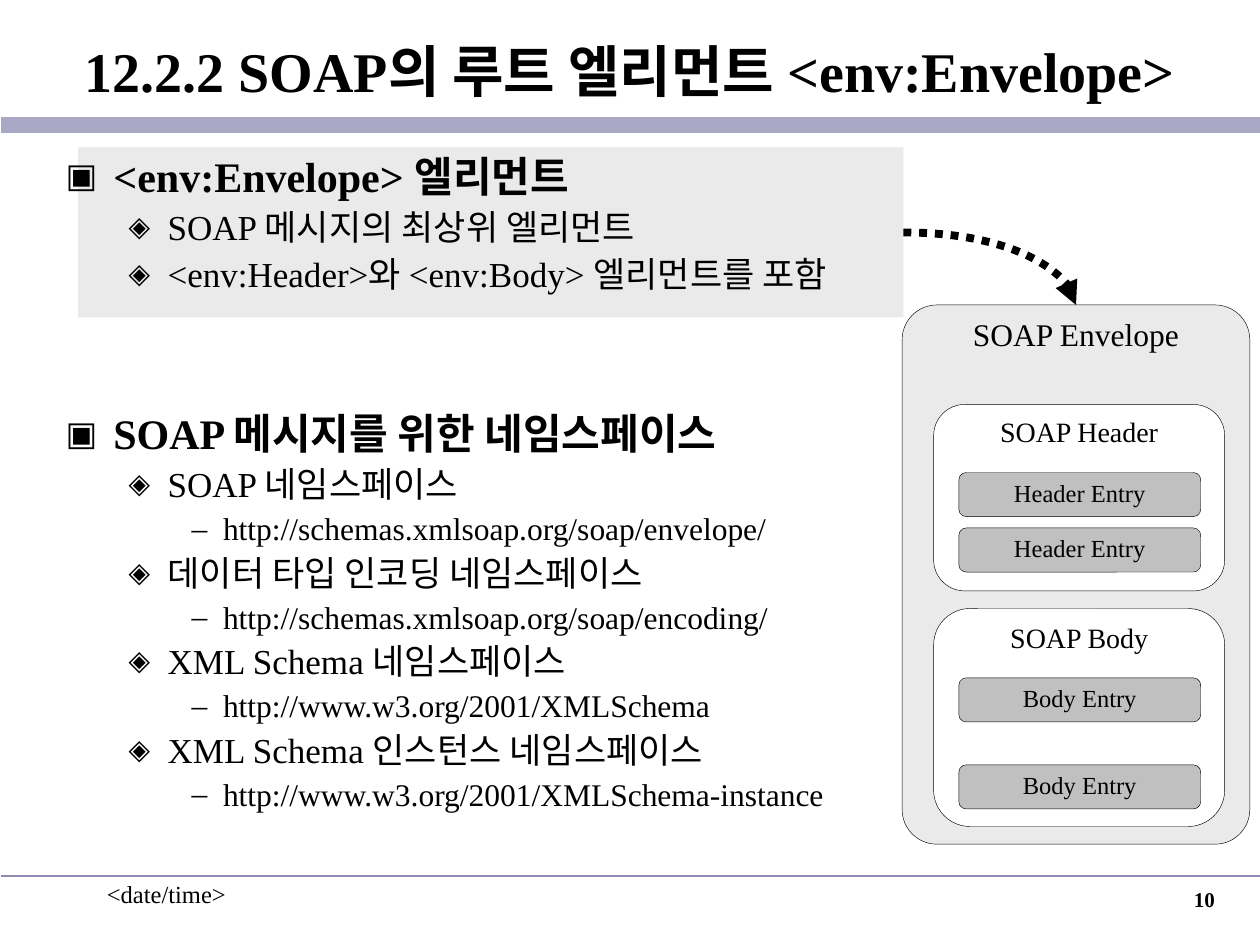
"""Build a slide on the SOAP envelope element and its namespaces."""
import lxml.etree
import pptx
import pptx.dml.color
import pptx.enum.dml
import pptx.enum.shapes
import pptx.enum.text
import pptx.oxml.ns
import pptx.util

Inches = pptx.util.Inches
Pt = pptx.util.Pt
RGBColor = pptx.dml.color.RGBColor
Align = pptx.enum.text.PP_ALIGN
Anchor = pptx.enum.text.MSO_ANCHOR
Kind = pptx.enum.shapes.MSO_SHAPE
Link = pptx.enum.shapes.MSO_CONNECTOR
qn = pptx.oxml.ns.qn

FONT = "Times New Roman"
BLACK = RGBColor(0, 0, 0)
WHITE = RGBColor(255, 255, 255)
PALE = RGBColor(0xEA, 0xEA, 0xEA)
GRAY = RGBColor(0xC0, 0xC0, 0xC0)
LILAC = RGBColor(0xA8, 0xA8, 0xC4)
SLATE = RGBColor(0x8C, 0x8C, 0xB2)

# left margin, hanging indent, bullet, bullet percent, size, space before
LEVELS = [
    (0.38, 0.38, "▣", 80, 24, 6),
    (0.81, 0.31, "◈", 80, 20, 5),
    (1.25, 0.25, "–", 100, 18, 4.5),
]
ITEMS = [
    (0, "<env:Envelope> 엘리먼트"),
    (1, "SOAP 메시지의 최상위 엘리먼트"),
    (1, "<env:Header>와 <env:Body> 엘리먼트를 포함"),
    (0, "SOAP 메시지를 위한 네임스페이스"),
    (1, "SOAP 네임스페이스"),
    (2, "http://schemas.xmlsoap.org/soap/envelope/"),
    (1, "데이터 타입 인코딩 네임스페이스"),
    (2, "http://schemas.xmlsoap.org/soap/encoding/"),
    (1, "XML Schema 네임스페이스"),
    (2, "http://www.w3.org/2001/XMLSchema"),
    (1, "XML Schema 인스턴스 네임스페이스"),
    (2, "http://www.w3.org/2001/XMLSchema-instance"),
]
GAP = 68
PARTS = [
    ("SOAP Header", 3.21, 1.48, "Header Entry", (3.75, 4.19)),
    ("SOAP Body", 4.83, 1.73, "Body Entry", (5.38, 6.07)),
]


def place(shape, left, top, width, height):
    shape.left, shape.top = Inches(left), Inches(top)
    shape.width, shape.height = Inches(width), Inches(height)


def style(para, size, bold=False, align=Align.LEFT):
    para.alignment = align
    font = para.font
    font.name, font.size, font.bold = FONT, Pt(size), bold
    font.color.rgb = BLACK


def add_child(parent, tag, **attrs):
    return lxml.etree.SubElement(parent, qn(tag), attrs)


def add_bullet(para, left, hang, char, scale):
    props = para._p.get_or_add_pPr()
    props.set("marL", str(Inches(left)))
    props.set("indent", str(-Inches(hang)))
    color = add_child(props, "a:buClr")
    add_child(color, "a:srgbClr", val=str(BLACK))
    add_child(props, "a:buSzPct", val=str(scale * 1000))
    add_child(props, "a:buFont", typeface=FONT)
    add_child(props, "a:buChar", char=char)


def set_title(title):
    place(title, 0.01, 0.11, 9.99, 0.9)
    frame = title.text_frame
    frame.text = "12.2.2 SOAP의 루트 엘리먼트 <env:Envelope>"
    frame.auto_size = pptx.enum.text.MSO_AUTO_SIZE.NONE
    frame.vertical_anchor = Anchor.MIDDLE
    frame.margin_left = Inches(0.66)
    style(frame.paragraphs[0], 32, True)


def set_list(body):
    place(body, 0.42, 1.19, 9.16, 5.71)
    frame = body.text_frame
    frame.text = "\n".join(text for _, text in ITEMS)
    frame.auto_size = pptx.enum.text.MSO_AUTO_SIZE.NONE
    for index, (level, _) in enumerate(ITEMS):
        para = frame.paragraphs[index]
        left, hang, char, scale, size, before = LEVELS[level]
        para.level = level
        add_bullet(para, left, hang, char, scale)
        para.line_spacing = 0.9
        if index == 0:
            before = 0
        elif level == 0:
            before = GAP
        para.space_before = Pt(before)
        style(para, size, level == 0)


def add_label(slide, box, text, size, bold=False, align=Align.LEFT):
    label = slide.shapes.add_textbox(*map(Inches, box))
    label.text_frame.word_wrap = True
    label.text_frame.text = text
    style(label.text_frame.paragraphs[0], size, bold, align)


def add_rule(slide, y, color, width):
    rule = slide.shapes.add_connector(
        Link.STRAIGHT, Inches(0.01), Inches(y), Inches(10), Inches(y))
    rule.line.color.rgb, rule.line.width = color, Pt(width)
    add_child(rule.element.spPr, "a:effectLst")


def add_panel(slide):
    panel = slide.shapes.add_shape(
        Kind.RECTANGLE, *map(Inches, (0.62, 1.17, 6.55, 1.35)))
    panel.shadow.inherit = False
    panel.fill.solid()
    panel.fill.fore_color.rgb = PALE
    panel.line.fill.background()
    return panel


def add_card(slide, box, text, size, color, round=0.167, anchor=Anchor.TOP):
    card = slide.shapes.add_shape(Kind.ROUNDED_RECTANGLE, *map(Inches, box))
    card.adjustments[0] = round
    card.shadow.inherit = False
    card.fill.solid()
    card.fill.fore_color.rgb = color
    card.line.color.rgb, card.line.width = BLACK, Pt(0.25)
    frame = card.text_frame
    frame.text = text
    frame.word_wrap = False
    frame.vertical_anchor = anchor
    para = frame.paragraphs[0]
    para.line_spacing = 0.85
    style(para, size, align=Align.CENTER)
    return card


def add_arrow(slide, start, end):
    arrow = slide.shapes.add_connector(
        Link.CURVE, *map(Inches, (7.17, 1.85, 8.54, 2.42)))
    arrow.begin_connect(start, 3)
    arrow.end_connect(end, 0)
    props = arrow.element.spPr
    props.find(qn("a:prstGeom")).set("prst", "curvedConnector2")
    arrow.line.color.rgb, arrow.line.width = BLACK, Pt(4.5)
    arrow.line.dash_style = pptx.enum.dml.MSO_LINE.ROUND_DOT
    props.find(qn("a:ln")).find(qn("a:prstDash")).set("val", "sysDot")
    add_child(props.find(qn("a:ln")), "a:tailEnd", type="triangle")
    add_child(props, "a:effectLst")


def main():
    deck = pptx.Presentation()
    deck.slide_width, deck.slide_height = Inches(10), Inches(7.5)
    slide = deck.slides.add_slide(deck.slide_layouts[1])
    panel = add_panel(slide)
    panel.element.getparent().insert(2, panel.element)
    set_title(slide.shapes.title)
    set_list(slide.placeholders[1])
    add_rule(slide, 0.99, LILAC, 9.25)
    add_rule(slide, 6.95, SLATE, 1)
    whole = add_card(
        slide, (7.16, 2.42, 2.76, 4.28), "SOAP Envelope", 18, PALE, 0.1)
    for name, top, height, entry, rows in PARTS:
        add_card(slide, (7.41, top, 2.31, height), name, 16, WHITE)
        for row in rows:
            add_card(slide, (7.61, row, 1.92, 0.35), entry, 14, GRAY,
                     anchor=Anchor.MIDDLE)
    add_arrow(slide, panel, whole)
    add_label(slide, (0.75, 6.93, 2.08, 0.5), "<date/time>", 14)
    add_label(slide, (7.66, 6.99, 2.08, 0.5), "10", 12, True, Align.RIGHT)
    deck.save("out.pptx")


if __name__ == "__main__":
    main()
